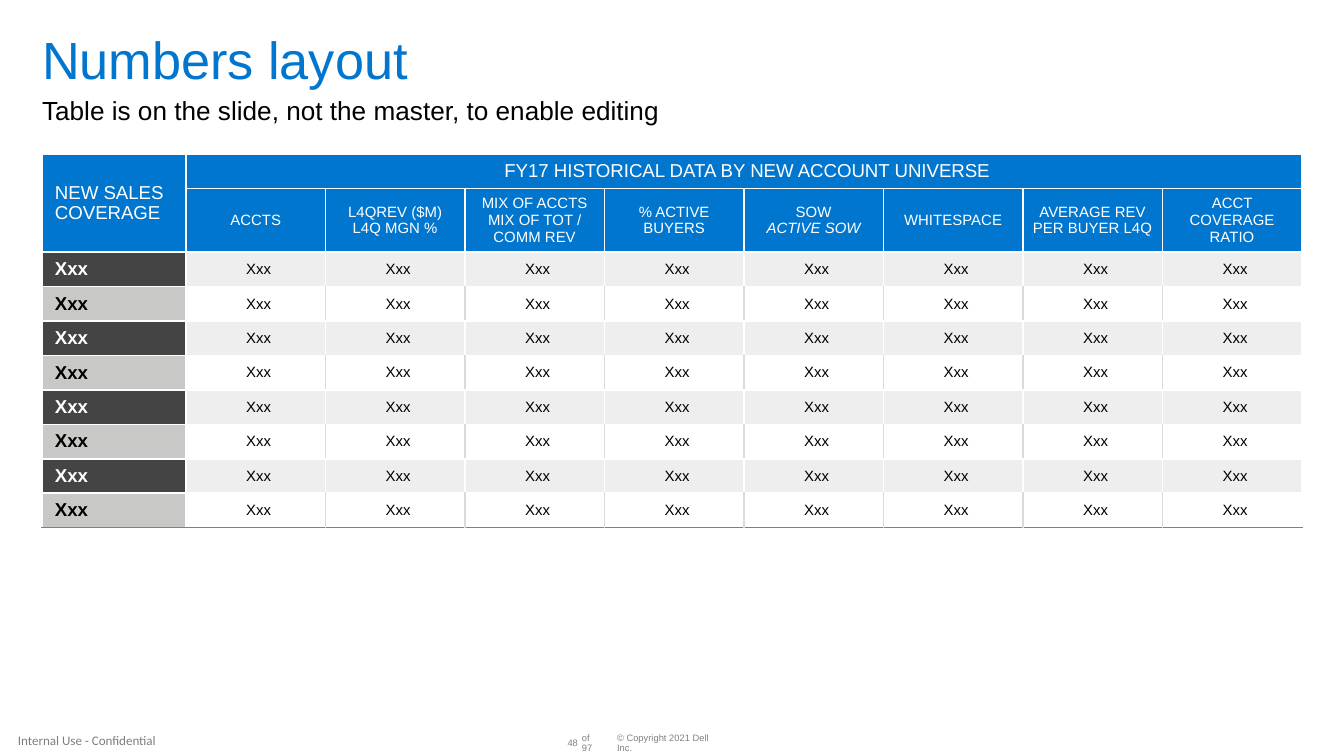
from lxml.etree import SubElement
from pptx import Presentation
from pptx.dml.color import RGBColor
from pptx.enum.text import MSO_ANCHOR, PP_ALIGN
from pptx.oxml.ns import qn
from pptx.util import Pt

PX = 914400 / 134.4
BLUE, WHITE, BLACK = "0076CE", "FFFFFF", "000000"
CHARCOAL, SILVER, PALE = "444444", "C8C9C7", "EEEEEE"
RULE_GREY, DIVIDER_GREY = "808080", "DADADA"

METRICS = [
    ["ACCTS"],
    ["L4QREV ($M)", "L4Q MGN %"],
    ["MIX OF ACCTS", "MIX OF TOT / COMM REV"],
    ["% ACTIVE BUYERS"],
    ["SOW", "ACTIVE SOW"],
    ["WHITESPACE"],
    ["AVERAGE REV PER BUYER L4Q"],
    ["ACCT COVERAGE RATIO"],
]
BODY_ROWS = 8


def px(length):
    return round(length * PX)


def color(hex_string):
    return RGBColor.from_string(hex_string)


def write(frame, lines, size, hue, align=PP_ALIGN.LEFT, bold=False, font="Arial", spacing=1.0):
    for index, line in enumerate(lines):
        paragraph = frame.paragraphs[0] if index == 0 else frame.add_paragraph()
        paragraph.text = line
        paragraph.alignment = align
        paragraph.line_spacing = spacing
        paragraph.font.name = font
        paragraph.font.size = Pt(size)
        paragraph.font.bold = bold
        paragraph.font.color.rgb = color(hue)


def add_text(slide, box, line, size, hue, anchor=MSO_ANCHOR.TOP, indent=0, **style):
    frame = slide.shapes.add_textbox(*map(px, box)).text_frame
    frame.word_wrap = True
    frame.vertical_anchor = anchor
    frame.margin_left = px(indent)
    frame.margin_top = frame.margin_right = frame.margin_bottom = 0
    write(frame, [line], size, hue, **style)


def style_cell(cell, fill, borders, margins):
    """Borders map a side (L, R, T, B) to a colour; margins are left, top, right, bottom."""
    properties = cell._tc.get_or_add_tcPr()
    for side in "LRTB":
        if side in borders:
            line = SubElement(properties, qn("a:ln" + side), w=str(Pt(1)))
            solid = SubElement(line, qn("a:solidFill"))
            SubElement(solid, qn("a:srgbClr"), val=borders[side])
    cell.fill.solid()
    cell.fill.fore_color.rgb = color(fill)
    cell.vertical_anchor = MSO_ANCHOR.MIDDLE
    cell.margin_left, cell.margin_top, cell.margin_right, cell.margin_bottom = map(px, margins)


def inner_borders(row, column, last_row, last_column, divider):
    borders = {"T": WHITE, "L": divider, "R": divider, "B": WHITE}
    if row == 0:
        del borders["T"]
    if column == 0:
        del borders["L"]
    if column <= 1:
        borders["L" if column else "R"] = WHITE
    if column == last_column:
        del borders["R"]
    if row == last_row:
        borders["B"] = RULE_GREY
    return borders


def add_numbers_table(slide, box):
    width, height = box[2:]
    label_width, band_height, metric_height = 144, 34, 61
    row_count, column_count = BODY_ROWS + 2, len(METRICS) + 1
    table = slide.shapes.add_table(row_count, column_count, *map(px, box)).table
    table.first_row = table.horz_banding = False

    for index, column in enumerate(table.columns):
        column.width = px((width - label_width) / len(METRICS) if index else label_width)
    body_height = (height - band_height - metric_height) / BODY_ROWS
    for row, row_height in zip(table.rows, [band_height, metric_height] + [body_height] * BODY_ROWS):
        row.height = px(row_height)

    for r in range(row_count):
        striped = r % 2 == 0
        for c in range(column_count):
            cell = table.cell(r, c)
            if r < 2:
                fill, divider = BLUE, WHITE
            elif c == 0:
                fill, divider = (CHARCOAL if striped else SILVER), WHITE
            else:
                fill, divider = (PALE, WHITE) if striped else (WHITE, DIVIDER_GREY)
            margins = (9, 5, 9, 5) if r == 1 and c else (13, 6, 7, 6)
            borders = inner_borders(r, c, row_count - 1, column_count - 1, divider)
            style_cell(cell, fill, borders, margins)
            if r >= 2 and c == 0:
                write(cell.text_frame, ["Xxx"], 10, WHITE if striped else BLACK, bold=True)
            elif r >= 2:
                write(cell.text_frame, ["Xxx"], 8, BLACK, PP_ALIGN.CENTER)

    table.cell(0, 0).merge(table.cell(1, 0))
    table.cell(0, 1).merge(table.cell(0, column_count - 1))
    write(table.cell(0, 0).text_frame, ["NEW SALES COVERAGE"], 10, WHITE)
    write(table.cell(0, 1).text_frame, ["FY17 HISTORICAL DATA BY NEW ACCOUNT UNIVERSE"],
          10, WHITE, PP_ALIGN.CENTER)
    for c, lines in enumerate(METRICS, 1):
        frame = table.cell(1, c).text_frame
        write(frame, lines, 8, WHITE, PP_ALIGN.CENTER)
        if "ACTIVE SOW" in lines:
            frame.paragraphs[-1].font.italic = True


def add_heading(slide, box):
    left, top, width, _ = box
    add_text(slide, (left, top, width, 57), "Numbers layout", 28, BLUE, spacing=0.9)
    add_text(slide, (left, top + 60, width, 32),
             "Table is on the slide, not the master, to enable editing", 14, BLACK)


def add_footer(slide, box):
    left, top, _, height = box
    small_print = [
        (567, 11, "48", PP_ALIGN.RIGHT),
        (582, 20, "of 97", PP_ALIGN.LEFT),
        (617, 108, "© Copyright 2021 Dell Inc.", PP_ALIGN.LEFT),
    ]
    for offset, width, line, align in small_print:
        add_text(slide, (left + offset, top + 13, width, 11), line, 5, RULE_GREY,
                 MSO_ANCHOR.MIDDLE, align=align, spacing=0.9)
    add_text(slide, (left, top, 175, height), "Internal Use - Confidential", 7, "7F7F7F",
             MSO_ANCHOR.MIDDLE, indent=18, font="Calibri")


def main():
    presentation = Presentation()
    presentation.slide_width, presentation.slide_height = px(1344), px(756)
    slide = presentation.slides.add_slide(presentation.slide_layouts[6])
    add_footer(slide, (0, 725, 1344, 31))
    add_heading(slide, (42, 34, 1260, 92))
    add_numbers_table(slide, (42, 154, 1260, 369))
    presentation.save("out.pptx")


if __name__ == "__main__":
    main()
